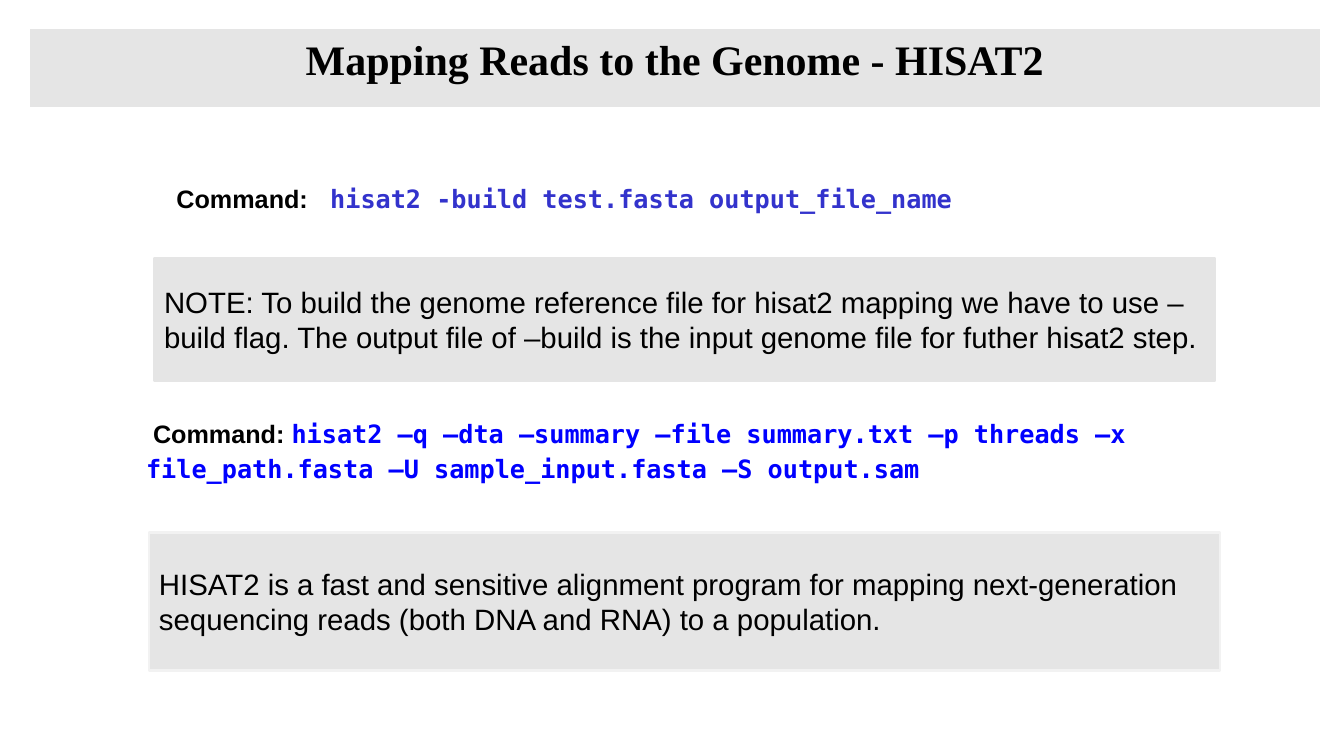
"""Build the slide on mapping reads to the genome with HISAT2."""
from pptx import Presentation, util as u
from pptx.dml.color import RGBColor
from pptx.enum import shapes, text

PX = 9144
HEX = {"ink": "000000", "panel": "E5E5E5", "edge": "F2F2F2",
       "indigo": "3333CC", "blue": "0000FF"}
SANS, MONO, SERIF = "Arial", "DejaVu Sans Mono", "Times New Roman"


def color(name):
    return RGBColor.from_string(HEX[name])


def paint(fill, name):
    fill.solid()
    fill.fore_color.rgb = color(name)


def style(font, face, size, ink="ink", bold=False):
    font.name, font.size, font.bold = face, u.Pt(size), bold
    font.color.rgb = color(ink)


def setup(frame, side, top, anchor=text.MSO_ANCHOR.MIDDLE):
    frame.word_wrap = True
    frame.auto_size = text.MSO_AUTO_SIZE.NONE
    frame.vertical_anchor = anchor
    frame.margin_left = frame.margin_right = side * PX
    frame.margin_top = frame.margin_bottom = top * PX
    return frame.paragraphs[0]


def add_title(slide, box, words):
    title = slide.shapes.title
    title.left, title.top, title.width, title.height = [n * PX for n in box]
    paint(title.fill, "panel")
    para = setup(title.text_frame, 0, 0)
    para.text = words
    para.alignment = text.PP_ALIGN.CENTER
    para.line_spacing = 0.5
    style(para.font, SERIF, 30, bold=True)


def add_note(slide, box, words, edge):
    note = slide.shapes.add_shape(shapes.MSO_SHAPE.RECTANGLE,
                                  *[n * PX for n in box])
    note.shadow.inherit = False
    paint(note.fill, "panel")
    paint(note.line.fill, edge)
    note.line.width = u.Pt(2)
    para = setup(note.text_frame, 10, 5)
    para.text = words
    para.alignment = text.PP_ALIGN.LEFT
    style(para.font, SANS, 21)


def add_code(slide, box, runs, space, inset, anchor):
    area = slide.shapes.add_textbox(*[n * PX for n in box])
    para = setup(area.text_frame, inset, inset, anchor)
    para.line_spacing = space
    for words, face, size, ink in runs:
        run = para.add_run()
        run.text = words
        style(run.font, face, size, ink, True)


def main():
    deck = Presentation()
    deck.slide_width, deck.slide_height = 1334 * PX, 750 * PX
    slide = deck.slides.add_slide(deck.slide_layouts[5])
    add_title(slide, (30, 29, 1280, 77), "Mapping Reads to the Genome - HISAT2")
    add_code(slide, (153, 176, 1053, 47), [
        (" ", SANS, 32, "ink"),
        ("Command: ", SANS, 18, "ink"),
        (" hisat2 -build test.fasta output_file_name", MONO, 18, "indigo"),
    ], 0.5, 10, text.MSO_ANCHOR.TOP)
    add_note(slide, (153, 256, 1053, 122),
             "NOTE: To build the genome reference file for hisat2 mapping we "
             "have to use –build flag. The output file of –build is the input "
             "genome file for futher hisat2 step.", "panel")
    add_code(slide, (145, 399, 1070, 92), [
        (" Command: ", SANS, 18, "ink"),
        ("hisat2 –q –dta –summary –file summary.txt –p threads "
         "–x file_path.fasta –U sample_input.fasta –S output.sam",
         MONO, 18, "blue"),
    ], 1.15, 0, text.MSO_ANCHOR.MIDDLE)
    add_note(slide, (148, 528, 1063, 137),
             "HISAT2 is a fast and sensitive alignment program for mapping "
             "next-generation sequencing reads (both DNA and RNA) to a "
             "population.", "edge")
    deck.save("out.pptx")


if __name__ == "__main__":
    main()
